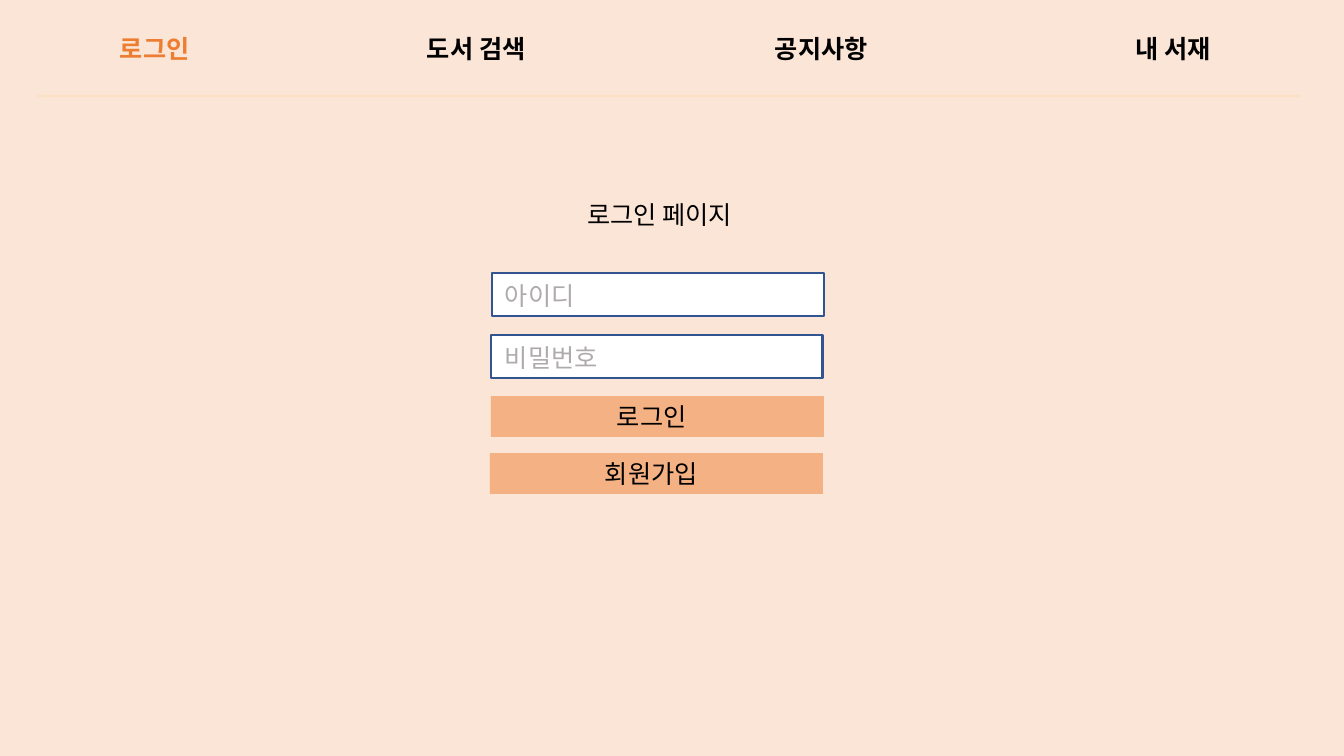
from pptx import Presentation
from pptx.dml.color import RGBColor
from pptx.enum import shapes, text
from pptx.oxml import ns
from pptx import util as u
from lxml import etree

PX = 914400 / 100.8
FONT = "Noto Sans CJK KR"
PEACH = RGBColor(0xFB, 0xE5, 0xD6)
ORANGE = RGBColor(0xED, 0x7D, 0x31)
GOLD = RGBColor(0xFF, 0xC0, 0x00)
SALMON = RGBColor(0xF4, 0xB1, 0x83)
NAVY = RGBColor(0x32, 0x54, 0x91)
GRAY = RGBColor(0xAF, 0xAB, 0xAB)
WHITE = RGBColor(0xFF, 0xFF, 0xFF)
BLACK = RGBColor(0, 0, 0)


def px(*vals):
    return [u.Emu(round(v * PX)) for v in vals]


def write(box, words, color=BLACK, bold=False, size=18):
    """Fill a text box or placeholder with one formatted line."""
    frame = box.text_frame
    frame.word_wrap = True
    frame.auto_size = text.MSO_AUTO_SIZE.NONE
    frame.vertical_anchor = text.MSO_ANCHOR.TOP
    para = frame.paragraphs[0]
    para.alignment = text.PP_ALIGN.LEFT
    run = para.add_run()
    run.text = words
    font = run.font
    font.name, font.size, font.bold = FONT, u.Pt(size), bold
    font.color.rgb = color
    east = etree.SubElement(run._r.get_or_add_rPr(), ns.qn("a:ea"))
    east.set("typeface", FONT)


def label(host, words, x, y, w, **style):
    write(host.add_textbox(*px(x, y, w, 40)), words, **style)


def block(host, x, y, w, h, fill, edge=None):
    rect = host.add_shape(shapes.MSO_SHAPE.RECTANGLE, *px(x, y, w, h))
    rect.shadow.inherit = False
    rect.fill.solid()
    rect.fill.fore_color.rgb = fill
    if edge is None:
        rect.line.fill.background()
    else:
        rect.line.color.rgb = edge
        rect.line.width = u.Pt(2)


def rule(host, x1, x2, y):
    """Draw the faint divider under the menu."""
    line = host.add_connector(shapes.MSO_CONNECTOR.STRAIGHT, *px(x1, y, x2, y))
    line.line.color.rgb = GOLD
    line.line.width = u.Pt(0.5)
    props = line._element.spPr
    shade = props.find(".//" + ns.qn("a:srgbClr"))
    etree.SubElement(shade, ns.qn("a:alpha")).set("val", "28000")
    etree.SubElement(props, ns.qn("a:effectLst"))


def field(host, hint, x, y):
    group = host.add_group_shape().shapes
    block(group, x, y, 332, 43, WHITE, NAVY)
    label(group, hint, 495, y + 2, 199, color=GRAY)


def button(host, words, x, y, inset, w):
    block(host, x, y, 333, 41, SALMON)
    label(host, words, x + inset, y, w)


def main():
    deck = Presentation()
    deck.slide_width, deck.slide_height = px(1344, 756)
    slide = deck.slides.add_slide(deck.slide_layouts[5])
    slide.background.fill.solid()
    slide.background.fill.fore_color.rgb = PEACH
    host = slide.shapes

    # Menu bar
    rule(host, 37, 1300, 96)
    menu = [("로그인", 110, 109, ORANGE), ("도서 검색", 417, 148, BLACK),
            ("공지사항", 765, 161, BLACK), ("내 서재", 1126, 109, BLACK)]
    for words, x, w, color in menu:
        label(host, words, x, 28, w, color=color, bold=True)

    # Page title
    title = host.title
    title.left, title.top, title.width, title.height = px(577, 194, 184, 40)
    write(title, "로그인 페이지")

    # Login form
    field(host, "아이디", 492, 273)
    field(host, "비밀번호", 491, 335)
    button(host, "로그인", 491, 396, 116, 101)
    button(host, "회원가입", 490, 453, 105, 126)

    deck.save("out.pptx")


main()
